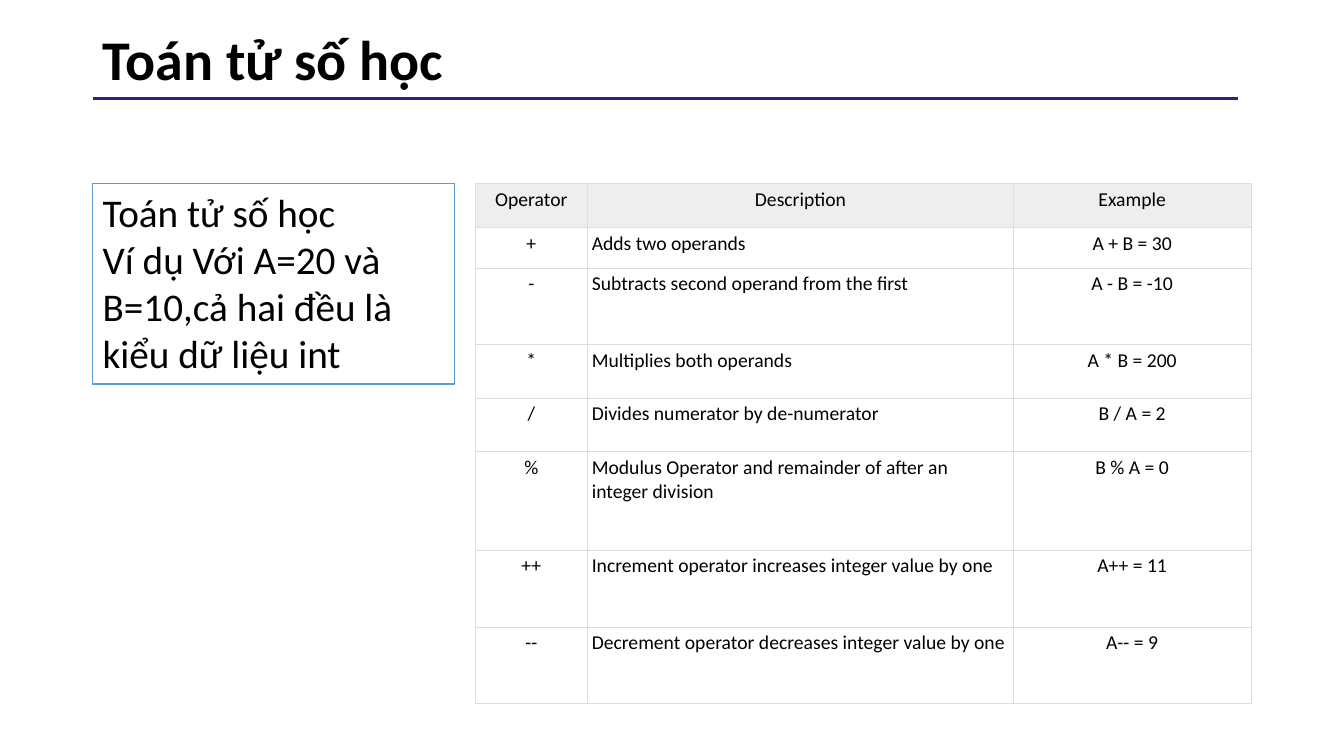
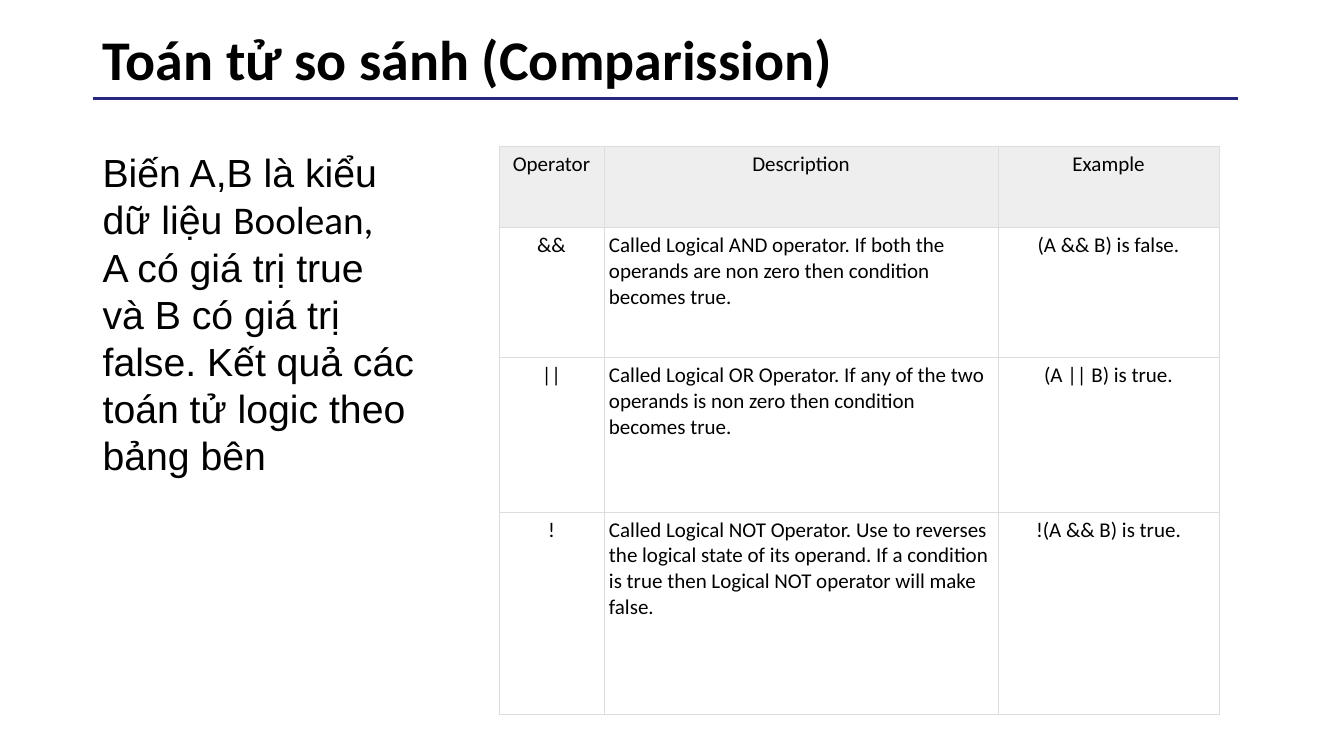
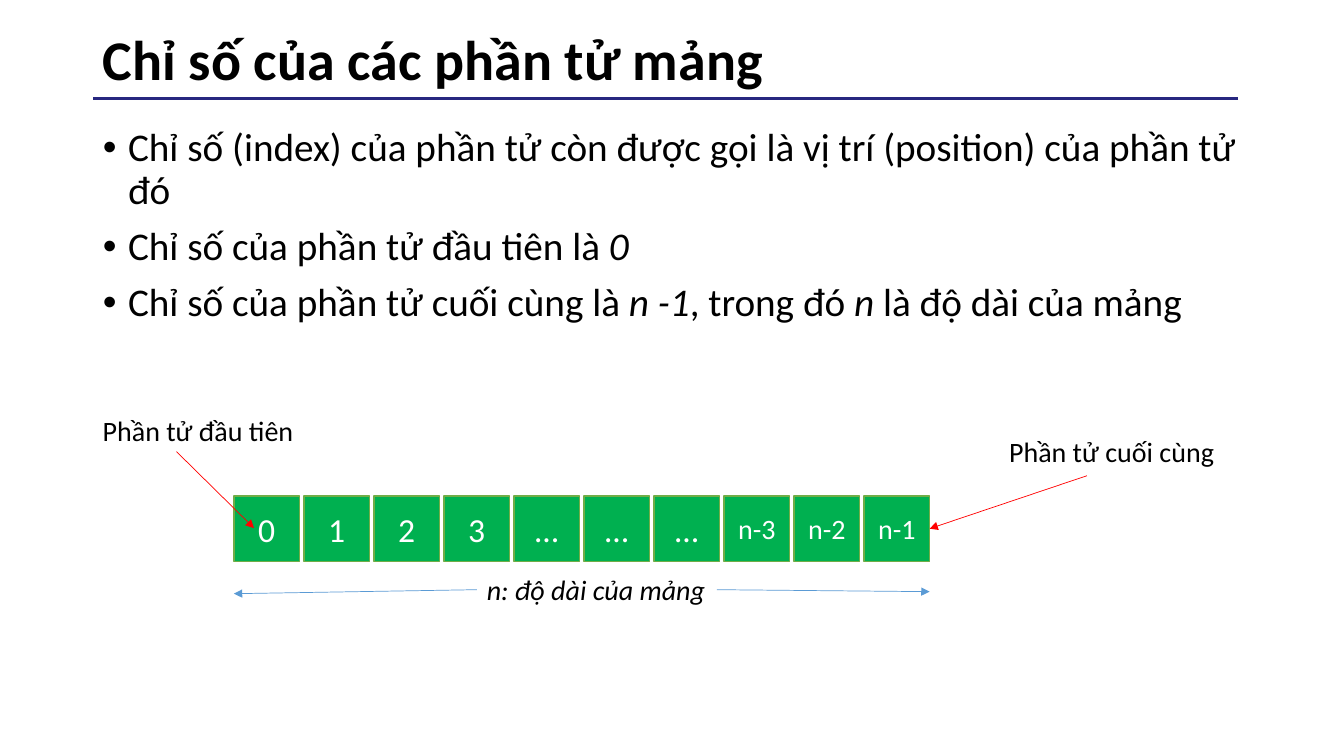
"""Three lesson slides: arithmetic operators, logical operators and array indices."""
from pptx import Presentation
from pptx import util as u
from pptx.dml.color import RGBColor
from pptx.enum import shapes, text
from pptx.oxml import parse_xml
from pptx.oxml.ns import nsdecls, qn

WIDTH, HEIGHT = 13.33, 7.5
LEFT, MEASURE = 0.92, 11.5
BLACK, WHITE, BLUE, RED = "000000", "FFFFFF", "5B9BD5", "FF0000"
NAVY, GREEN, OLIVE = "272780", "00B050", "70AD47"
HEADER_GREY, BORDER_GREY = "EEEEEE", "DDDDDD"
TOP, MIDDLE = text.MSO_ANCHOR.TOP, text.MSO_ANCHOR.MIDDLE
START, CENTER = text.PP_ALIGN.LEFT, text.PP_ALIGN.CENTER
FIXED, GROW = text.MSO_AUTO_SIZE.NONE, text.MSO_AUTO_SIZE.SHAPE_TO_FIT_TEXT


def rgb(value):
    """Turn a hex string into a colour."""
    return RGBColor.from_string(value)


def write(frame, paragraphs, size=28, font="Calibri", color=BLACK, bold=False, italic=False,
          align=START, anchor=TOP, wrap=True, fit=None, spacing=None, before=None, bullet=False):
    """Fill a text frame; a paragraph is a string or a list of (words, font changes)."""
    frame.word_wrap, frame.vertical_anchor = wrap, anchor
    if fit is not None:
        frame.auto_size = fit
    for index, runs in enumerate(paragraphs):
        paragraph = frame.add_paragraph() if index else frame.paragraphs[0]
        paragraph.alignment = align
        if spacing:
            paragraph.line_spacing = spacing
        if before is not None:
            paragraph.space_before = u.Pt(before)
        if bullet:
            props = paragraph._p.get_or_add_pPr()
            props.set("marL", str(u.Inches(0.25)))
            props.set("indent", str(u.Inches(-0.25)))
            props.append(parse_xml(f'<a:buFont {nsdecls("a")} typeface="Arial"/>'))
            props.append(parse_xml(f'<a:buChar {nsdecls("a")} char="•"/>'))
        for words, changes in [(runs, {})] if isinstance(runs, str) else runs:
            run = paragraph.add_run()
            run.text = words
            run.font.size = u.Pt(size)
            run.font.name = changes.get("font", font)
            run.font.bold = bold
            run.font.italic = changes.get("italic", italic)
            run.font.color.rgb = rgb(color)


deck = Presentation()
deck.slide_width, deck.slide_height = u.Inches(WIDTH), u.Inches(HEIGHT)
title_only, title_and_body = deck.slide_layouts[5], deck.slide_layouts[1]

lessons = []
for heading, layout in [
    ("Toán tử số học", title_only),
    ("Toán tử so sánh (Comparission)", title_only),
    ("Chỉ số của các phần tử mảng", title_and_body),
]:
    lesson = deck.slides.add_slide(layout)
    title = lesson.shapes.title
    title.left, title.top, title.width, title.height = map(u.Inches, (LEFT, 0.17, MEASURE, 0.89))
    write(title.text_frame, [heading], size=40, bold=True, anchor=MIDDLE, fit=FIXED, spacing=0.9)
    lessons.append(lesson)
arithmetic, logic, array = lessons

headings = ("Operator", "Description", "Example")
arithmetic_rows = [
    headings,
    ("+", "Adds two operands", "A + B = 30"),
    ("-", "Subtracts second operand from the first", "A - B = -10"),
    ("*", "Multiplies both operands", "A * B = 200"),
    ("/", "Divides numerator by de-numerator", "B / A = 2"),
    ("%", "Modulus Operator and remainder of after an integer division", "B % A = 0"),
    ("++", "Increment operator increases integer value by one", "A++ = 11"),
    ("--", "Decrement operator decreases integer value by one", "A-- = 9"),
]
logic_rows = [
    headings,
    ("&&", "Called Logical AND operator. If both the operands are non zero then condition "
     "becomes true.", "(A && B) is false."),
    ("||", "Called Logical OR Operator. If any of the two operands is non zero then condition "
     "becomes true.", "(A || B) is true."),
    ("!", "Called Logical NOT Operator. Use to reverses the logical state of its operand. If a "
     "condition is true then Logical NOT operator will make false.", "!(A && B) is true."),
]
for lesson, rows, left, top, widths, heights, size, inset in [
    (arithmetic, arithmetic_rows, 4.71, 1.82, (1.12, 4.22, 2.36),
     (0.44, 0.4, 0.76, 0.53, 0.53, 0.98, 0.76, 0.76), 14, 0.04),
    (logic, logic_rows, 4.95, 1.45, (1.04, 3.91, 2.19), (0.81, 1.29, 1.53, 2.01), 15, 0.05),
]:
    operators = lesson.shapes.add_table(
        len(rows), len(widths), *map(u.Inches, (left, top, sum(widths), sum(heights)))).table
    operators.first_row = operators.horz_banding = False
    for column, width in zip(operators.columns, widths):
        column.width = u.Inches(width)
    for r, (entries, height) in enumerate(zip(rows, heights)):
        operators.rows[r].height = u.Inches(height)
        for c, entry in enumerate(entries):
            cell = operators.cell(r, c)
            cell.margin_left = cell.margin_right = u.Inches(inset)
            cell.margin_top = cell.margin_bottom = u.Inches(inset)
            write(cell.text_frame, [entry], size=size, align=START if r and c == 1 else CENTER)
            props = cell._tc.get_or_add_tcPr()
            for side in ("lnL", "lnR", "lnT", "lnB"):
                props.append(parse_xml(
                    f'<a:{side} {nsdecls("a")} w="{u.Pt(0.5)}"><a:solidFill>'
                    f'<a:srgbClr val="{BORDER_GREY}"/></a:solidFill></a:{side}>'))
            if r:
                cell.fill.background()
            else:
                cell.fill.solid()
                cell.fill.fore_color.rgb = rgb(HEADER_GREY)

premise = arithmetic.shapes.add_shape(
    shapes.MSO_SHAPE.RECTANGLE, *map(u.Inches, (LEFT, 1.82, 3.59, 1.99)))
premise.shadow.inherit = False
premise.fill.solid()
premise.fill.fore_color.rgb = rgb(WHITE)
premise.line.color.rgb, premise.line.width = rgb(BLUE), u.Pt(1)
write(premise.text_frame,
      ["Toán tử số học", "Ví dụ Với A=20 và B=10,cả hai đều là kiểu dữ liệu int"], fit=GROW)

premise = logic.shapes.add_textbox(*map(u.Inches, (LEFT, 1.41, 3.3, 3.4)))
write(premise.text_frame, [
    [("Biến A,B là kiểu dữ liệu ", {}), ("Boolean,", {"font": "Calibri"})],
    "A có giá trị true và B có giá trị false. Kết quả các toán tử logic theo bảng bên",
], font="Arial", anchor=MIDDLE, fit=GROW)

slanted = {"italic": True}
rules = array.placeholders[1]
rules.left, rules.top, rules.width, rules.height = map(u.Inches, (LEFT, 1.22, MEASURE, 5.53))
write(rules.text_frame, [
    "Chỉ số (index) của phần tử còn được gọi là vị trí (position) của phần tử đó",
    [("Chỉ số của phần tử đầu tiên là ", {}), ("0", slanted)],
    [("Chỉ số của phần tử cuối cùng là ", {}), ("n -1", slanted), (", trong đó ", {}),
     ("n", slanted), (" là độ dài của mảng", {})],
], fit=FIXED, spacing=0.9, before=10, bullet=True)

indices = ["0", "1", "2", "3", "…", "…", "…", "n-3", "n-2", "n-1"]
first_left, last_left, element_top, element_side = 2.32, 8.57, 4.92, 0.65
pitch = (last_left - first_left) / (len(indices) - 1)
for position, index in enumerate(indices):
    element = array.shapes.add_shape(shapes.MSO_SHAPE.RECTANGLE, *map(
        u.Inches, (first_left + position * pitch, element_top, element_side, element_side)))
    element.shadow.inherit = False
    element.fill.solid()
    element.fill.fore_color.rgb = rgb(GREEN)
    element.line.color.rgb, element.line.width = rgb(OLIVE), u.Pt(1)
    write(element.text_frame, [index], size=20 if len(index) > 1 else 24, color=WHITE,
          align=CENTER, anchor=MIDDLE)
last_element = element

for caption, left, top, width, italic in [
    ("Phần tử đầu tiên", LEFT, 4.05, 2.11, False),
    ("Phần tử cuối cùng", 9.91, 4.26, 2.25, False),
    ("n: độ dài của mảng", 4.73, 5.63, 2.38, True),
]:
    label = array.shapes.add_textbox(*map(u.Inches, (left, top, width, 0.44)))
    write(label.text_frame, [caption], size=20, italic=italic, wrap=False, fit=GROW)
length_label = label

array_right = last_left + element_side
for start, end, color, weight, origin, target in [
    ((7.11, 5.85), (array_right, 5.87), BLUE, 0.5, (length_label, 3), None),
    ((4.73, 5.85), (first_left, 5.89), BLUE, 0.5, (length_label, 1), None),
    ((1.75, 4.48), (2.52, 5.24), RED, 0.5, None, None),
    ((10.78, 4.72), (array_right, 5.24), RED, 0.5, None, (last_element, 3)),
    ((12.28, 0.98), (LEFT, 0.98), NAVY, 2, None, None),
]:
    stroke = array.shapes.add_connector(
        shapes.MSO_CONNECTOR.STRAIGHT, *map(u.Inches, start + end))
    stroke.line.color.rgb, stroke.line.width = rgb(color), u.Pt(weight)
    if origin:
        stroke.begin_connect(*origin)
    if target:
        stroke.end_connect(*target)
    outline = stroke.element.spPr
    if color != NAVY:
        outline.find(qn("a:ln")).append(parse_xml(f'<a:tailEnd {nsdecls("a")} type="triangle"/>'))
    outline.append(parse_xml(f'<a:effectLst {nsdecls("a")}/>'))
title_rule = stroke.element
deck.slide_master.shapes.element.insert(2, title_rule)

deck.save("out.pptx")
